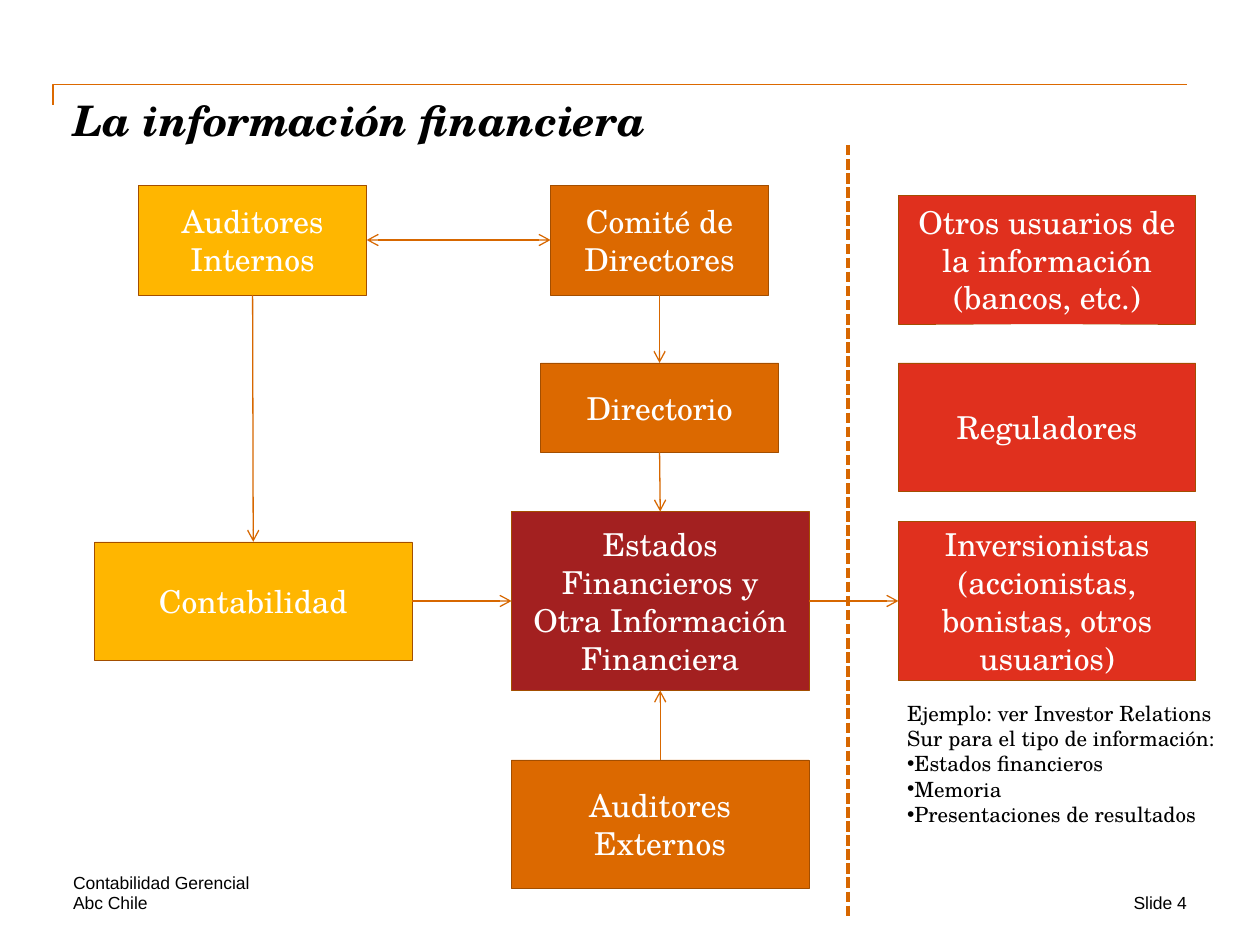
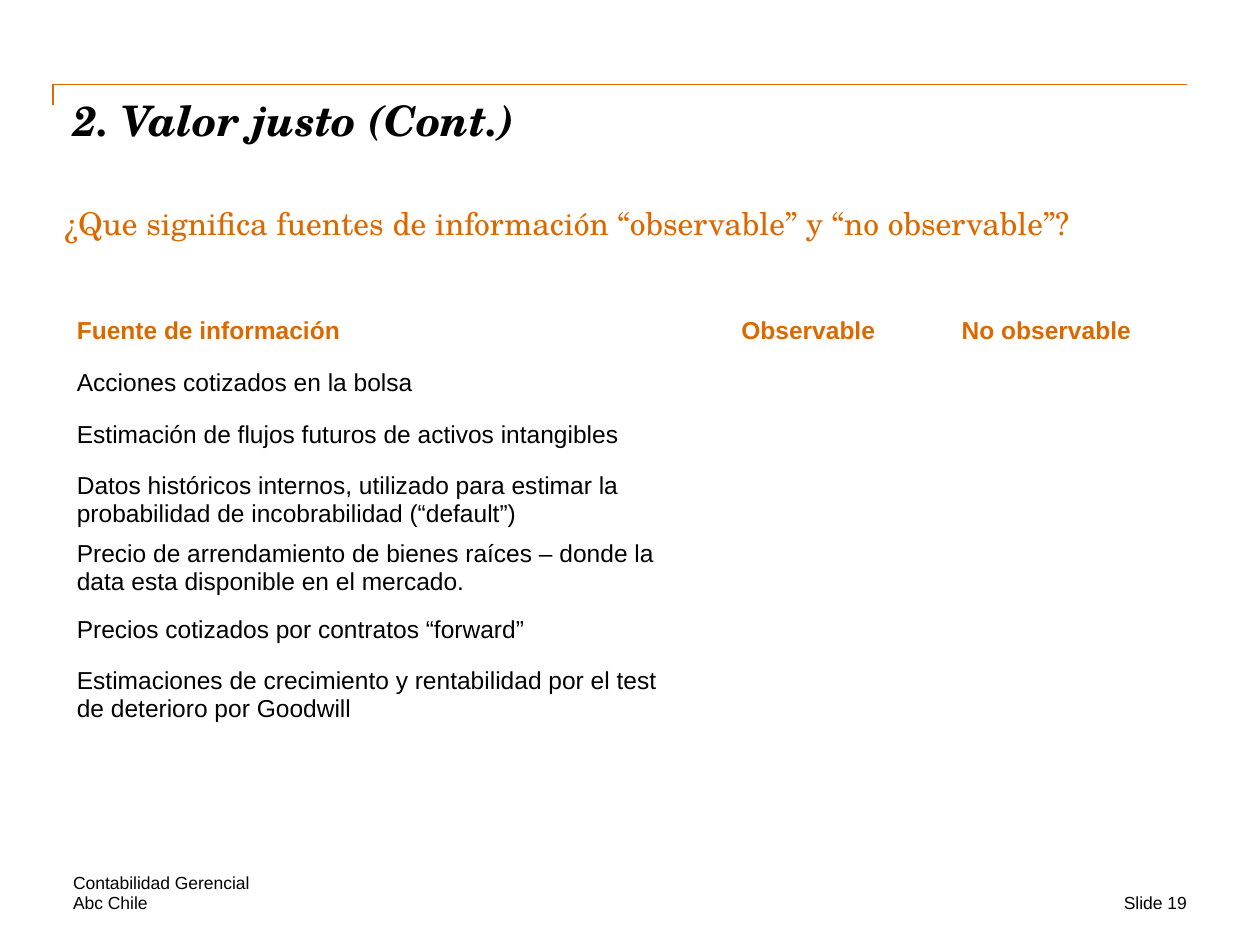
from lxml.etree import SubElement
from pptx import Presentation
from pptx.dml.color import RGBColor
from pptx.enum.dml import MSO_LINE
from pptx.enum.shapes import MSO_CONNECTOR, MSO_SHAPE
from pptx.enum.text import MSO_ANCHOR, MSO_AUTO_SIZE, PP_ALIGN
from pptx.oxml.ns import qn
from pptx.util import Inches, Pt

# Shared look
SERIF, SANS = "TeX Gyre Schola", "Arial"
BLACK, WHITE = "000000", "FFFFFF"
ORANGE, YELLOW, RED, DARK_RED = "DC6900", "FFB600", "E0301E", "A32020"
BORDER, ARROW = "A34E00", "D76700"
TOP, LEFT, BOTTOM, RIGHT = range(4)


def rgb(color):
    return RGBColor.from_string(color)


def format_text(tf, size, font, color, align=PP_ALIGN.LEFT, bold=False, italic=False):
    for p in tf.paragraphs:
        p.alignment = align
        for r in p.runs:
            r.font.size = Pt(size)
            r.font.name = font
            r.font.color.rgb = rgb(color)
            r.font.bold = bold
            r.font.italic = italic


def clear_margins(tf, anchor=MSO_ANCHOR.TOP):
    tf.word_wrap = True
    tf.auto_size = MSO_AUTO_SIZE.NONE
    tf.vertical_anchor = anchor
    tf.margin_left = tf.margin_top = tf.margin_right = tf.margin_bottom = 0


def add_text(s, text, x, y, w, h, size, font, color=BLACK,
             align=PP_ALIGN.LEFT, anchor=MSO_ANCHOR.TOP):
    sp = s.shapes.add_textbox(Inches(x), Inches(y), Inches(w), Inches(h))
    tf = sp.text_frame
    clear_margins(tf, anchor)
    tf.text = text
    format_text(tf, size, font, color, align)
    return tf


def add_title(s, text):
    sp = s.shapes.title
    sp.left, sp.top = Inches(0.58), Inches(0.75)
    sp.width, sp.height = Inches(8.83), Inches(1)
    clear_margins(sp.text_frame)
    sp.text_frame.text = text
    format_text(sp.text_frame, 24, SERIF, BLACK, bold=True, italic=True)


def add_rule(s):
    builder = s.shapes.build_freeform(Inches(0.42), Inches(0.83))
    builder.add_line_segments([(Inches(0.42), Inches(0.67)),
                               (Inches(9.42), Inches(0.67))], close=False)
    sp = builder.convert_to_shape()
    sp.shadow.inherit = False
    sp.fill.background()
    sp.line.color.rgb = rgb(ORANGE)
    sp.line.width = Pt(1)


def add_slide(prs, title, number):
    s = prs.slides.add_slide(prs.slide_layouts[5])
    add_rule(s)
    add_title(s, title)
    add_text(s, "Contabilidad Gerencial", 0.58, 6.92, 5.75, 0.17, 10, SANS,
             anchor=MSO_ANCHOR.BOTTOM)
    add_text(s, "Abc Chile", 0.58, 7.08, 2.83, 0.17, 10, SANS)
    add_text(s, f"Slide {number}", 7.75, 7.08, 1.67, 0.17, 10, SANS,
             align=PP_ALIGN.RIGHT)
    return s


def add_box(s, text, x, y, w, h, fill):
    sp = s.shapes.add_shape(MSO_SHAPE.RECTANGLE, Inches(x), Inches(y),
                            Inches(w), Inches(h))
    sp.shadow.inherit = False
    sp.fill.solid()
    sp.fill.fore_color.rgb = rgb(fill)
    sp.line.color.rgb = rgb(BORDER)
    sp.line.width = Pt(0.25)
    tf = sp.text_frame
    tf.word_wrap = True
    tf.vertical_anchor = MSO_ANCHOR.MIDDLE
    tf.text = text
    format_text(tf, 18, SERIF, WHITE, PP_ALIGN.CENTER)
    return sp


def add_line(s, x1, y1, x2, y2, width):
    line = s.shapes.add_connector(MSO_CONNECTOR.STRAIGHT, Inches(x1), Inches(y1),
                                  Inches(x2), Inches(y2))
    line.line.color.rgb = rgb(ARROW)
    line.line.width = Pt(width)
    SubElement(line._element.spPr, qn("a:effectLst"))
    return line


def add_arrow(s, start, start_side, end, end_side, both=False):
    line = add_line(s, 0, 0, 1, 1, 0.75)
    line.begin_connect(start, start_side)
    line.end_connect(end, end_side)
    ln = line.line._get_or_add_ln()
    for tag in ("a:headEnd", "a:tailEnd") if both else ("a:tailEnd",):
        SubElement(ln, qn(tag), type="arrow")


def add_bullet(p):
    pPr = p._p.get_or_add_pPr()
    pPr.set("marL", "0")
    pPr.set("indent", "0")
    SubElement(pPr, qn("a:buFont"), typeface=SANS)
    SubElement(pPr, qn("a:buChar"), char="•")


def add_plain_table(s, rows, x, y, widths, heights):
    frame = s.shapes.add_table(len(rows), len(widths), Inches(x), Inches(y),
                               Inches(sum(widths)), Inches(sum(heights)))
    table = frame.table
    table.first_row = table.horz_banding = False
    for column, width in zip(table.columns, widths):
        column.width = Inches(width)
    for i, (row, texts) in enumerate(zip(table.rows, rows)):
        row.height = Inches(heights[i])
        for j, cell in enumerate(row.cells):
            cell.text = texts[j]
            cell.fill.background()
            format_text(cell.text_frame, 14, SANS, BLACK if i else ORANGE,
                        PP_ALIGN.CENTER if j else PP_ALIGN.LEFT, bold=i == 0)
            # No cell borders
            tcPr = cell._tc.get_or_add_tcPr()
            for k, side in enumerate(("a:lnL", "a:lnR", "a:lnT", "a:lnB")):
                ln = SubElement(tcPr, qn(side))
                SubElement(ln, qn("a:noFill"))
                tcPr.insert(k, ln)


def build_information_flow(prs):
    s = add_slide(prs, "La información financiera", 4)

    # Inside the company
    internal = add_box(s, "Auditores Internos", 1.1, 1.47, 1.81, 0.87, YELLOW)
    accounting = add_box(s, "Contabilidad", 0.75, 4.3, 2.52, 0.94, YELLOW)
    committee = add_box(s, "Comité de Directores", 4.37, 1.47, 1.73, 0.87, ORANGE)
    board = add_box(s, "Directorio", 4.29, 2.88, 1.89, 0.71, ORANGE)
    statements = add_box(s, "Estados Financieros y Otra Información Financiera",
                         4.06, 4.06, 2.36, 1.42, DARK_RED)
    external = add_box(s, "Auditores Externos", 4.06, 6.03, 2.36, 1.02, ORANGE)

    # Users of the information
    users = [("Otros usuarios de la información (bancos, etc.)", 1.55, 1.02),
             ("Reguladores", 2.88, 1.02),
             ("Inversionistas (accionistas, bonistas, otros usuarios)", 4.14, 1.26)]
    for text, y, h in users:
        investors = add_box(s, text, 7.13, y, 2.36, h, RED)

    # Flow
    add_arrow(s, internal, RIGHT, committee, LEFT, both=True)
    add_arrow(s, internal, BOTTOM, accounting, TOP)
    add_arrow(s, committee, BOTTOM, board, TOP)
    add_arrow(s, board, BOTTOM, statements, TOP)
    add_arrow(s, external, TOP, statements, BOTTOM)
    add_arrow(s, accounting, RIGHT, statements, LEFT)
    add_arrow(s, statements, RIGHT, investors, LEFT)
    divider = add_line(s, 6.73, 1.15, 6.73, 7.29, 2)
    divider.line.dash_style = MSO_LINE.SQUARE_DOT

    # Example
    lines = ["Ejemplo: ver Investor Relations Sur para el tipo de información:",
             "Estados financieros", "Memoria", "Presentaciones de resultados"]
    tf = add_text(s, "\n".join(lines), 7.2, 5.56, 2.64, 1.18, 12, SERIF)
    for p in tf.paragraphs[1:]:
        add_bullet(p)


def build_fair_value(prs):
    s = add_slide(prs, "2. Valor justo (Cont.)", 19)
    add_text(s, "¿Que significa fuentes de información “observable” y “no observable”?",
             0.51, 1.62, 8.23, 0.4, 18, SERIF, ORANGE)
    sources = [
        "Acciones cotizados en la bolsa",
        "Estimación de flujos futuros de activos intangibles",
        "Datos históricos internos, utilizado para estimar la probabilidad "
        "de incobrabilidad (“default”)",
        "Precio de arrendamiento de bienes raíces – donde la data esta "
        "disponible en el mercado.",
        "Precios cotizados por contratos “forward”",
        "Estimaciones de crecimiento y rentabilidad por el test de deterioro "
        "por Goodwill",
    ]
    rows = [("Fuente de información", "Observable", "No observable")]
    rows += [(source, "", "") for source in sources]
    add_plain_table(s, rows, 0.51, 2.47, [5.04, 1.73, 2.05],
                    [0.41] * 3 + [0.54, 0.6, 0.41, 0.54])


def main():
    prs = Presentation()
    prs.slide_width, prs.slide_height = Inches(10), Inches(7.5)
    build_information_flow(prs)
    build_fair_value(prs)
    prs.save("out.pptx")


if __name__ == "__main__":
    main()
